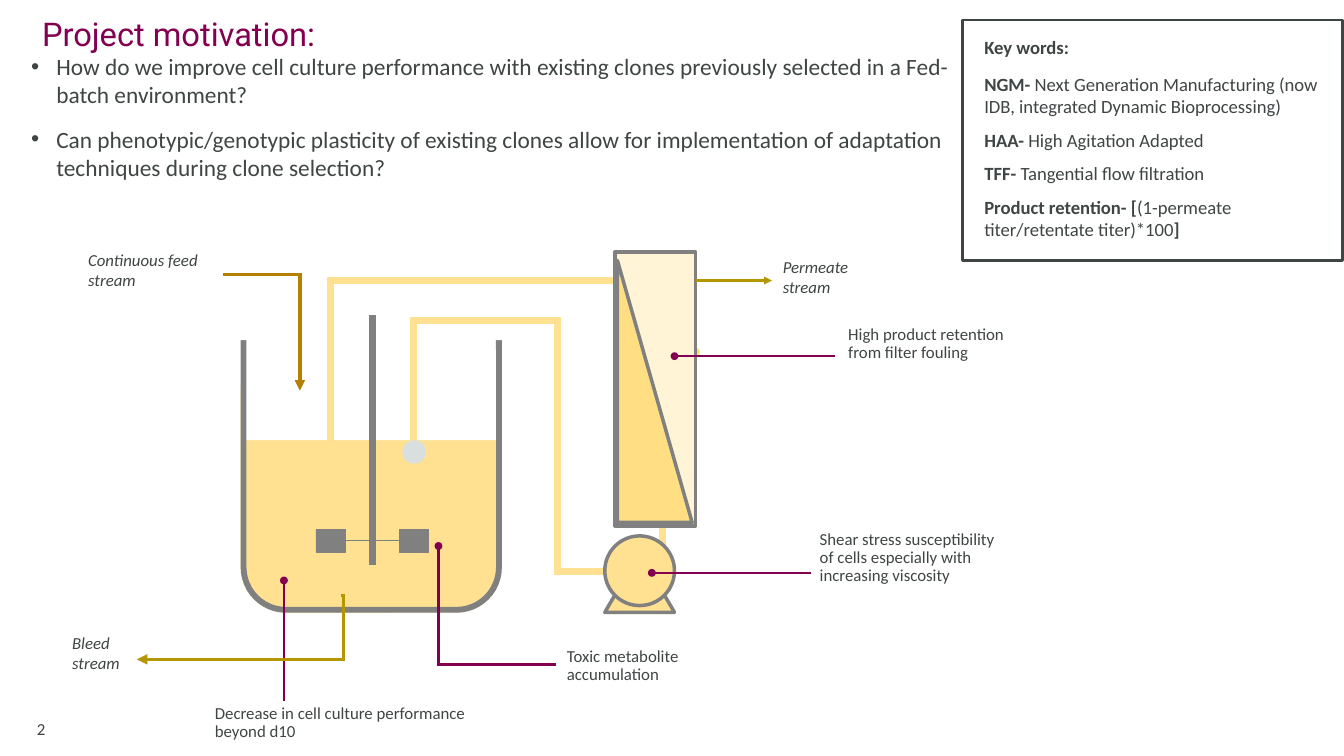
"""Build the project motivation slide with its perfusion bioreactor diagram."""
from dataclasses import dataclass

from lxml import etree
from pptx import Presentation
from pptx.dml.color import RGBColor
from pptx.enum.shapes import MSO_CONNECTOR, MSO_SHAPE
from pptx.enum.text import MSO_ANCHOR, MSO_AUTO_SIZE, PP_ALIGN
from pptx.oxml.ns import qn
from pptx.util import Inches, Pt

STRAIGHT = MSO_CONNECTOR.STRAIGHT
RECTANGLE = MSO_SHAPE.RECTANGLE
ROUNDED = MSO_SHAPE.ROUNDED_RECTANGLE
OVAL = MSO_SHAPE.OVAL
TRIANGLE = MSO_SHAPE.ISOSCELES_TRIANGLE
TOP, BOTTOM = MSO_ANCHOR.TOP, MSO_ANCHOR.BOTTOM
LEFT, RIGHT = PP_ALIGN.LEFT, PP_ALIGN.RIGHT
FIXED, GROW = MSO_AUTO_SIZE.NONE, MSO_AUTO_SIZE.SHAPE_TO_FIT_TEXT

COLOURS = {
    "plum": "830051", "ink": "3F4444", "steel": "808080", "white": "FFFFFF",
    "broth": "FFE191", "bubble": "D8DFDE", "port": "FFD96D", "permeate": "FFF4D5",
    "retentate": "FFDE84", "feed": "B48000", "outflow": "B49600",
}


@dataclass
class Block:
    """A preset shape with an optional fill and outline."""
    preset: MSO_SHAPE
    frame: tuple[float, float, float, float]
    fill: str | None = None
    line: str | None = None
    width: float = 3
    apex: float | None = None


@dataclass
class Route:
    """A line through two or more points, with an optional end mark."""
    points: list[tuple[float, float]]
    colour: str
    width: float = 2.25
    end: str | None = None


@dataclass
class Label:
    """A short caption beside the diagram."""
    text: str
    frame: tuple[float, float, float, float]
    italic: bool = False


@dataclass
class Phrase:
    """A piece of text in one weight."""
    text: str
    bold: bool = False


ARTWORK = [
    Block(ROUNDED, (2.9, 4.14, 3.04, 3.12), "broth", "broth", 5),
    Block(RECTANGLE, (2.9, 3.73, 3.04, 1.51), "white"),
    Block(ROUNDED, (2.9, 3.42, 3.04, 3.84), None, "steel", 5),
    Block(RECTANGLE, (2.83, 3.29, 3.18, 0.76), "white"),
    Route([(4.43, 3.75), (4.43, 6.73)], "steel", 6),
    Route([(4.12, 6.43), (4.75, 6.43)], "steel", 1),
    *[Block(RECTANGLE, (left, 6.3, 0.35, 0.27), "steel", "steel", 0.5)
      for left in (3.76, 4.75)],
    Route([(7.89, 6.23), (7.89, 6.69)], "broth", 6),
    Route([(7.2, 6.8), (6.64, 6.8), (6.64, 3.81), (4.92, 3.81), (4.92, 6.3)], "broth", 6),
    Route([(7.41, 3.34), (3.94, 3.34), (3.94, 6.22)], "broth", 6),
    Block(OVAL, (4.79, 5.24, 0.28, 0.28), "bubble"),
    Block(OVAL, (8.23, 4.14, 0.1, 0.1), "port"),
    Block(RECTANGLE, (7.32, 3, 0.96, 3.26), "permeate", "steel"),
    Block(TRIANGLE, (7.35, 3.1, 0.89, 3.12), "retentate", "steel", apex=0),
    Block(TRIANGLE, (7.2, 6.58, 0.83, 0.71), "broth", "steel"),
    Block(OVAL, (7.2, 6.38, 0.83, 0.83), "broth", "steel"),
    Route([(9.94, 4.24), (8.03, 4.24)], "plum", end="oval"),
    Route([(9.66, 6.82), (7.76, 6.82)], "plum", end="oval"),
    Route([(6.62, 7.91), (5.22, 7.91), (5.22, 6.5)], "plum", end="oval"),
    Route([(3.38, 8.34), (3.38, 6.91)], "plum", end="oval"),
    Route([(2.66, 3.27), (3.57, 3.27), (3.57, 4.65)], "feed", 3, "triangle"),
    Route([(8.28, 3.34), (9.19, 3.34)], "outflow", end="triangle"),
    Route([(4.06, 7.09), (4.09, 7.09), (4.09, 7.85), (1.63, 7.85)], "outflow", 3, "triangle"),
    Block(RECTANGLE, (11.46, 0.24, 4.52, 2.86), None, "ink", 2.25),
]

LABELS = [
    Label("High product retention from filter fouling", (10, 3.83, 2.24, 0.54)),
    Label("Shear stress susceptibility of cells especially with increasing viscosity",
          (9.66, 6.27, 2.45, 0.76)),
    Label("Toxic metabolite accumulation", (6.65, 7.66, 2.65, 0.54)),
    Label("Decrease in cell culture performance beyond d10", (2.46, 8.34, 3.47, 0.54)),
    Label("Bleed stream", (0.76, 7.48, 1.18, 0.59), True),
    Label("Permeate stream", (9.22, 3.01, 1.45, 0.59), True),
    Label("Continuous feed stream", (0.95, 2.92, 1.75, 0.59), True),
]

QUESTIONS = [
    "How do we improve cell culture performance with existing clones previously "
    "selected in a Fed-batch environment?",
    "Can phenotypic/genotypic plasticity of existing clones allow for implementation "
    "of adaptation techniques during clone selection?",
]

KEY_WORDS = [
    [Phrase("Key words:", True)],
    [Phrase("NGM- ", True),
     Phrase("Next Generation Manufacturing (now IDB, integrated Dynamic Bioprocessing)")],
    [Phrase("HAA- ", True), Phrase("High Agitation Adapted")],
    [Phrase("TFF- ", True), Phrase("Tangential flow filtration")],
    [Phrase("Product retention- [", True),
     Phrase("(1-permeate titer/retentate titer)*100"), Phrase("]", True)],
]


def rgb(name: str) -> RGBColor:
    return RGBColor.from_string(COLOURS[name])


def add_span(para, text: str, size: float, colour: str = "ink", face: str = "Calibri",
             bold: bool = False, italic: bool = False) -> None:
    span = para.add_run()
    span.text = text
    font = span.font
    font.size, font.name, font.bold, font.italic = Pt(size), face, bold, italic
    font.color.rgb = rgb(colour)


def next_para(frame, index: int):
    return frame.add_paragraph() if index else frame.paragraphs[0]


def place(box, frame: tuple[float, float, float, float]) -> None:
    box.left, box.top, box.width, box.height = map(Inches, frame)


def add_box(page, frame: tuple[float, float, float, float]):
    text_frame = page.shapes.add_textbox(*map(Inches, frame)).text_frame
    text_frame.word_wrap = True
    text_frame.auto_size = GROW
    return text_frame


def set_margins(frame, left: float, top: float, right: float, bottom: float) -> None:
    frame.margin_left, frame.margin_top = Inches(left), Inches(top)
    frame.margin_right, frame.margin_bottom = Inches(right), Inches(bottom)


def draw_block(page, block: Block) -> None:
    shape = page.shapes.add_shape(block.preset, *map(Inches, block.frame))
    shape.shadow.inherit = False
    if block.apex is not None:
        shape.adjustments[0] = block.apex
    for paint, colour in ((shape.fill, block.fill), (shape.line.fill, block.line)):
        if colour:
            paint.solid()
            paint.fore_color.rgb = rgb(colour)
        else:
            paint.background()
    if block.line:
        shape.line.width = Pt(block.width)


def draw_route(page, route: Route) -> None:
    start, *rest = [(Inches(x), Inches(y)) for x, y in route.points]
    if len(rest) == 1:
        shape = page.shapes.add_connector(STRAIGHT, *start, *rest[0])
    else:
        builder = page.shapes.build_freeform(*start)
        builder.add_line_segments(rest, close=False)
        shape = builder.convert_to_shape()
        shape.fill.background()
    shape.line.color.rgb = rgb(route.colour)
    shape.line.width = Pt(route.width)
    properties = shape._element.spPr
    outline = properties.find(qn("a:ln"))
    etree.SubElement(outline, qn("a:miter"), lim="800000")
    if route.end:
        etree.SubElement(outline, qn("a:tailEnd"), type=route.end)
    etree.SubElement(properties, qn("a:effectLst"))


def draw_label(page, label: Label) -> None:
    para = add_box(page, label.frame).paragraphs[0]
    if not label.italic:
        para.line_spacing = 0.9
    add_span(para, label.text, 14.4, italic=label.italic)


def fill_placeholders(page) -> None:
    title, body = page.shapes.title, page.placeholders[1]
    place(title, (0.5, 0.16, 14.93, 1.32))
    place(body, (0.27, 0.57, 11.36, 0.69))
    for box in (title, body):
        box.text_frame.auto_size = FIXED
        box.text_frame.vertical_anchor = TOP
    set_margins(title.text_frame, 0, 0, 0, 0)
    heading = title.text_frame.paragraphs[0]
    heading.alignment = LEFT
    add_span(heading, "Project motivation:", 28, "plum", "Roboto")
    for index, question in enumerate(QUESTIONS):
        para = next_para(body.text_frame, index)
        settings = para._p.get_or_add_pPr()
        settings.set("marL", str(Inches(0.3)))
        settings.set("indent", str(Inches(-0.3)))
        etree.SubElement(settings, qn("a:buChar"), char="•")
        para.space_before = Pt(7.2 if index else 0)
        para.space_after = Pt(7.2)
        add_span(para, question, 20)


def draw_key_words(page) -> None:
    frame = add_box(page, (11.62, 0.38, 4.33, 2.57))
    for index, phrases in enumerate(KEY_WORDS):
        para = next_para(frame, index)
        para.space_before = Pt(4.8 if index else 0)
        para.space_after = Pt(4.8 if index else 7.2)
        for phrase in phrases:
            add_span(para, phrase.text, 16, bold=phrase.bold)


def draw_page_number(page) -> None:
    frame = add_box(page, (0, 8.47, 0.54, 0.41))
    frame.auto_size, frame.vertical_anchor = FIXED, BOTTOM
    set_margins(frame, 0, 0, 0, 0.08)
    frame.paragraphs[0].alignment = RIGHT
    add_span(frame.paragraphs[0], "2", 14.4)


def main() -> None:
    deck = Presentation()
    deck.slide_width, deck.slide_height = Inches(16), Inches(9)
    page = deck.slides.add_slide(deck.slide_layouts[1])
    fill_placeholders(page)
    for item in ARTWORK:
        if isinstance(item, Block):
            draw_block(page, item)
        else:
            draw_route(page, item)
    for label in LABELS:
        draw_label(page, label)
    draw_key_words(page)
    draw_page_number(page)
    deck.save("out.pptx")


if __name__ == "__main__":
    main()
